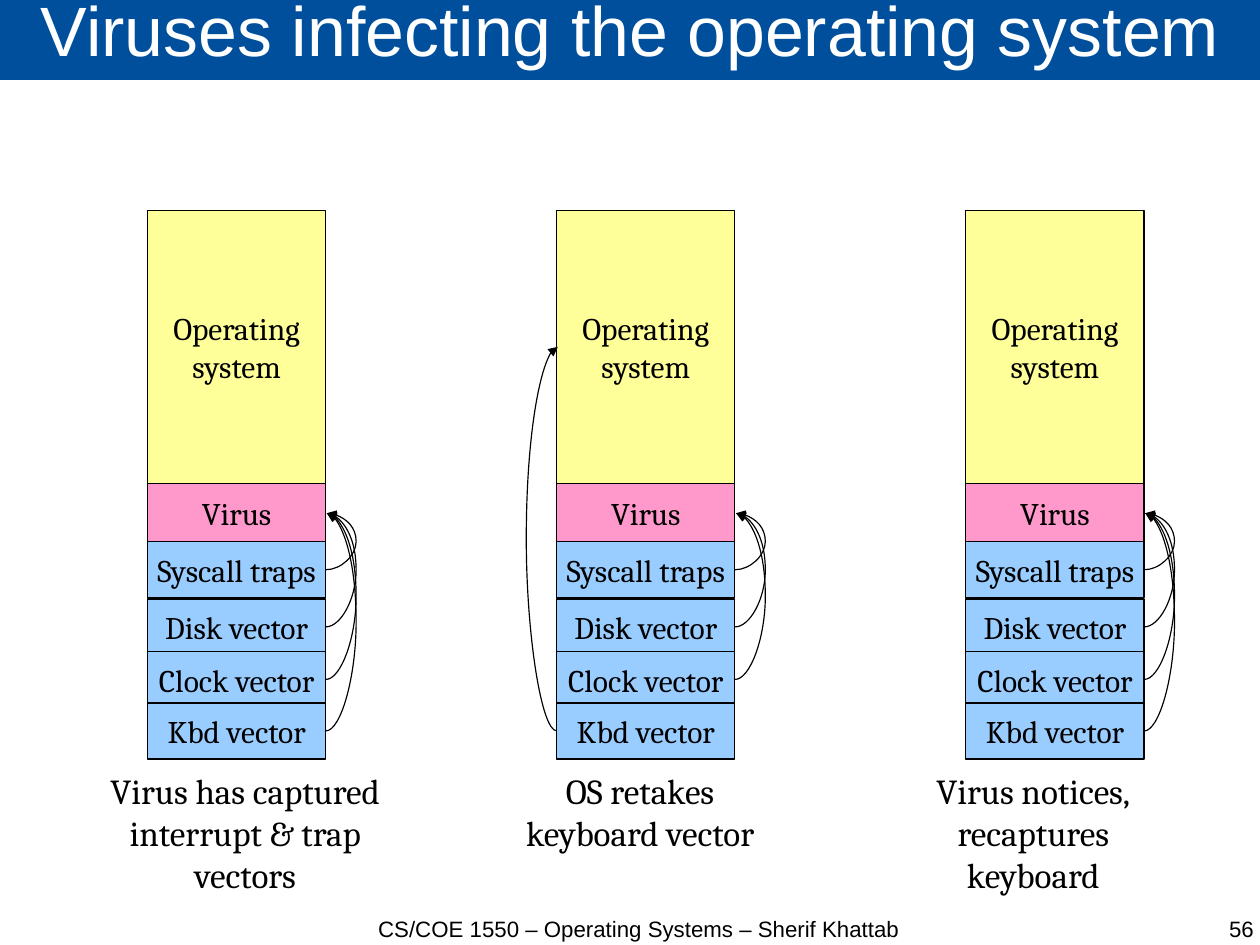
import pptx
import pptx.dml.color
import pptx.enum.shapes
import pptx.enum.text
import pptx.util
import lxml.etree
from pptx.util import Inches

RGBColor = pptx.dml.color.RGBColor
PP_ALIGN = pptx.enum.text.PP_ALIGN
MSO_ANCHOR = pptx.enum.text.MSO_ANCHOR

BLACK = RGBColor(0x00, 0x00, 0x00)
WHITE = RGBColor(0xFF, 0xFF, 0xFF)
TITLE_BLUE = RGBColor(0x00, 0x4F, 0x9D)
VECTOR_BLUE = RGBColor(0x99, 0xCC, 0xFF)
SYSTEM_YELLOW = RGBColor(0xFF, 0xFF, 0x99)
VIRUS_PINK = RGBColor(0xFF, 0x99, 0xCC)

# The page is 28 by 21 centimetres
PAGE_WIDTH, PAGE_HEIGHT = Inches(28 / 2.54), Inches(21 / 2.54)
LEFT, RIGHT = 1, 3
BULGE = 0.27
CURVE_WIDTH = 0.01

# Label, offset from the top of the stack, height, fill
MEMORY_PARTS = [
    ("Operating\vsystem", 0, 2.39, SYSTEM_YELLOW),
    ("Virus", 2.39, 0.52, VIRUS_PINK),
    ("Syscall traps", 2.9, 0.49, VECTOR_BLUE),
    ("Disk vector", 3.4, 0.49, VECTOR_BLUE),
    ("Clock vector", 3.86, 0.49, VECTOR_BLUE),
    ("Kbd vector", 4.31, 0.49, VECTOR_BLUE),
]
# Caption, its left and width, whether the system holds the keyboard vector
STAGES = [
    ("Virus has captured\vinterrupt & trap vectors", 0.59, 3.11, False),
    ("OS retakes\vkeyboard vector", 4.5, 2.2, True),
    ("Virus notices,\vrecaptures keyboard", 7.69, 2.7, False),
]


def write_text(shape, text, size, font, color=BLACK, align=PP_ALIGN.CENTER):
    frame = shape.text_frame
    frame.text = text
    for para in frame.paragraphs:
        para.alignment = align
        for span in para.runs:
            span.font.size = pptx.util.Pt(size)
            span.font.name = font
            span.font.color.rgb = color


def set_margins(frame, horizontal, vertical):
    frame.margin_left = frame.margin_right = Inches(horizontal)
    frame.margin_top = frame.margin_bottom = Inches(vertical)


def add_title(page, left, top, width, height):
    title = page.shapes.title
    title.left, title.top = Inches(left), Inches(top)
    title.width, title.height = Inches(width), Inches(height)
    title.fill.solid()
    title.fill.fore_color.rgb = TITLE_BLUE
    write_text(title, "Viruses infecting the operating system", 44, "Arial", WHITE)
    frame = title.text_frame
    frame.auto_size = pptx.enum.text.MSO_AUTO_SIZE.NONE
    frame.word_wrap = True
    frame.vertical_anchor = MSO_ANCHOR.MIDDLE
    set_margins(frame, 0, 0)
    frame.paragraphs[0].line_spacing = 0.69


def add_footer_text(page, text, left, width, align):
    box = page.shapes.add_textbox(Inches(left), Inches(8.01), Inches(width), Inches(0.55))
    write_text(box, text, 14, "Arial", align=align)
    box.text_frame.word_wrap = True
    set_margins(box.text_frame, 0, 0)


def add_memory_part(page, label, left, top, width, height, fill):
    box = page.shapes.add_shape(
        pptx.enum.shapes.MSO_SHAPE.RECTANGLE,
        Inches(left), Inches(top), Inches(width), Inches(height))
    box.shadow.inherit = False
    box.fill.solid()
    box.fill.fore_color.rgb = fill
    box.line.color.rgb = BLACK
    box.line.width = pptx.util.Pt(0.75)
    write_text(box, label, 19.8, "Cambria")
    box.text_frame.word_wrap = False
    box.text_frame.vertical_anchor = MSO_ANCHOR.MIDDLE
    return box


def add_curved_arrow(page, source, target, side):
    """Join the same side of two boxes with an arrow that bulges outwards."""
    edge = source.left + (source.width if side == RIGHT else 0)
    curve = page.shapes.add_connector(
        pptx.enum.shapes.MSO_CONNECTOR.CURVE,
        edge, source.top + source.height // 2,
        edge + Inches(CURVE_WIDTH), target.top + target.height // 2)
    curve.begin_connect(source, side)
    curve.end_connect(target, side)
    curve.width = Inches(CURVE_WIDTH)
    curve.line.color.rgb = BLACK
    curve.line.width = pptx.util.Pt(0.75)

    qn = pptx.oxml.ns.qn
    direction = 1 if side == RIGHT else -1
    bend = round(direction * BULGE / CURVE_WIDTH * 100000)
    properties = curve.element.spPr
    adjustments = properties.find(qn("a:prstGeom")).find(qn("a:avLst"))
    lxml.etree.SubElement(adjustments, qn("a:gd"), name="adj1", fmla=f"val {bend}")
    lxml.etree.SubElement(properties.find(qn("a:ln")), qn("a:tailEnd"), type="triangle")
    lxml.etree.SubElement(properties, qn("a:effectLst"))


def add_memory_stack(page, left, top, width, system_holds_keyboard):
    system, virus, *vectors = [
        add_memory_part(page, label, left, top + offset, width, height, fill)
        for label, offset, height, fill in MEMORY_PARTS
    ]
    for vector in vectors:
        if system_holds_keyboard and vector is vectors[-1]:
            add_curved_arrow(page, vector, system, LEFT)
        else:
            add_curved_arrow(page, vector, virus, RIGHT)


def add_caption(page, text, left, top, width, height):
    box = page.shapes.add_textbox(Inches(left), Inches(top), Inches(width), Inches(height))
    write_text(box, text, 22.1, "Cambria")
    box.text_frame.word_wrap = True
    set_margins(box.text_frame, 0.09, 0.05)


def main():
    deck = pptx.Presentation()
    deck.slide_width, deck.slide_height = PAGE_WIDTH, PAGE_HEIGHT
    page = deck.slides.add_slide(deck.slide_layouts[5])
    add_title(page, 0, -0.02, 11.04, 0.72)
    add_footer_text(page, "CS/COE 1550 – Operating Systems – Sherif Khattab",
                    3.07, 5.04, PP_ALIGN.CENTER)
    add_footer_text(page, "56", 8.44, 2.53, PP_ALIGN.RIGHT)
    for index, (caption, left, width, system_holds_keyboard) in enumerate(STAGES):
        add_memory_stack(page, 1.29 + 3.58 * index, 1.84, 1.56, system_holds_keyboard)
        add_caption(page, caption, left, 6.68, width, 0.84)
    deck.save("out.pptx")


if __name__ == "__main__":
    main()
